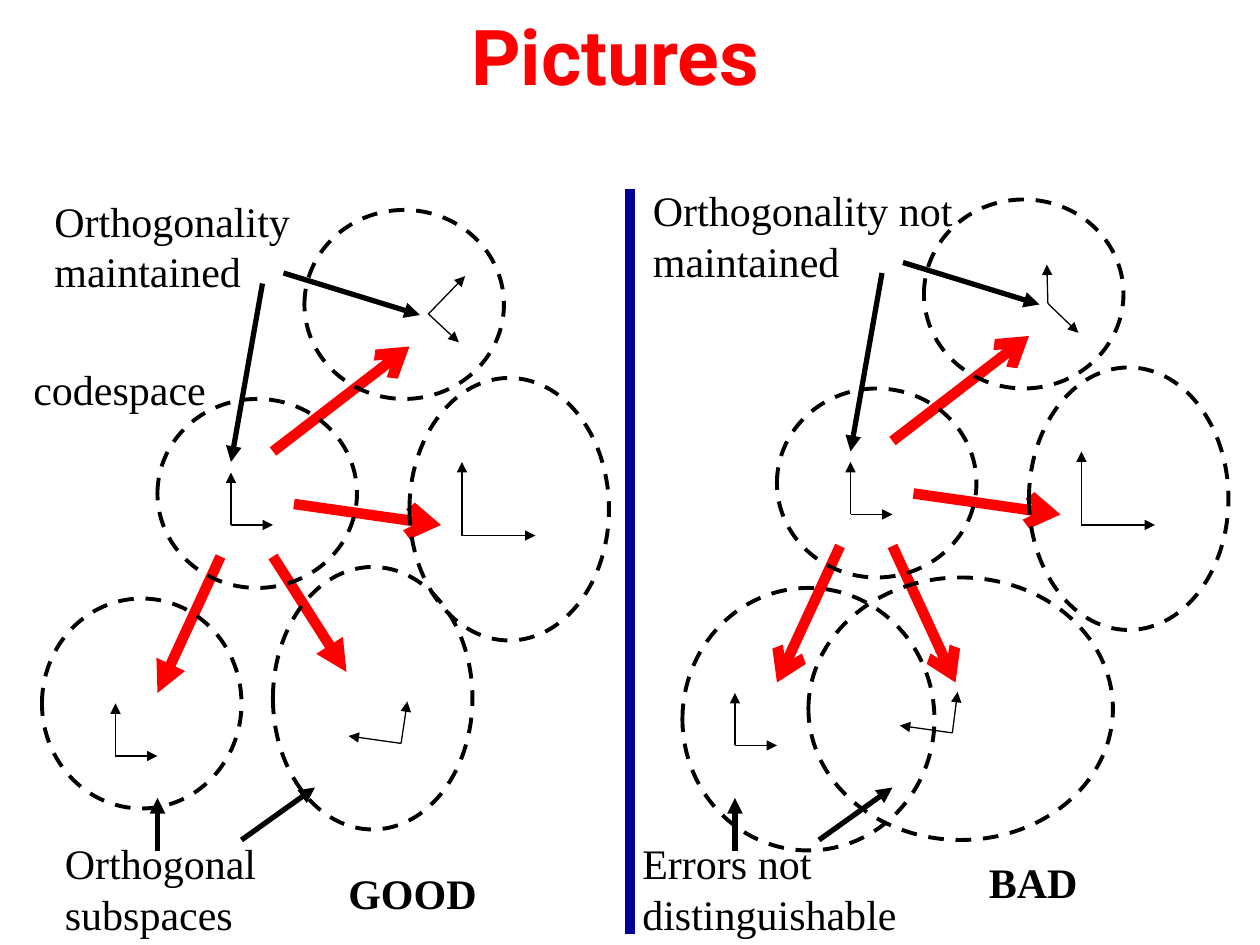
"""Build a slide contrasting good and bad error subspaces of a quantum code."""
from dataclasses import dataclass

from lxml.etree import SubElement
from pptx import Presentation
from pptx.dml.color import RGBColor
from pptx.enum.dml import MSO_LINE_DASH_STYLE as Dash
from pptx.enum.shapes import MSO_CONNECTOR, MSO_SHAPE
from pptx.enum.text import MSO_ANCHOR, PP_ALIGN
from pptx.oxml.ns import qn
from pptx.util import Inches, Pt


@dataclass(frozen=True)
class Theme:
    black: RGBColor = RGBColor(0, 0, 0)
    red: RGBColor = RGBColor(255, 0, 0)
    blue: RGBColor = RGBColor(0, 0, 153)
    title_font: str = "Roboto"
    body_font: str = "Times New Roman"
    title_size: int = 44
    body_size: int = 24
    thin: float = 0.75
    dashed: float = 2.25
    pointer: int = 3
    thick: int = 6


THEME = Theme()
COLUMNS, ROWS = 120, 90
WIDTH, HEIGHT = Inches(10), Inches(7.5)
TITLE = ("Pictures", (43.68, 0.24, 33, 10.08))
DIVIDER = ((60, 18), (60, 89))

SHARED = {
    "axes": [
        ((22, 50), (22, 45), (26, 50)),
        ((44, 51), (44, 44), (51, 51)),
        ((11, 72), (11, 67), (15, 72)),
    ],
    "errors": [((28, 48), (42, 50), "arrow"), ((26, 43), (39, 33), "arrow")],
    "subspaces": [(39, 36, 19, 25), (29, 20, 19, 18), (15, 38, 19, 18)],
    "pointers": [((27, 26), (40, 30)), ((25, 27), (22, 44))],
}
FOOT_POINTERS = [((23, 80), (30, 75)), ((15, 81), (15, 76))]

PANELS = [
    {
        "shift": (0, 0),
        "foot_shift": (0, 0),
        "axes": [
            ((38.2, 70.8), (33.2, 70.1), (38.8, 66.8)),
            ((40.8, 29.9), (44.3, 26.3), (43.7, 32.6)),
        ],
        "errors": [((21, 53), (15, 66), "triangle"), ((26, 53), (33, 64), "triangle")],
        "subspaces": [(4, 57, 19, 20), (26, 54, 19, 25)],
        "labels": [
            ("Orthogonality maintained", (4, 18, 25, 10.8), False),
            ("Orthogonal subspaces", (5, 79.2, 25, 10.8), False),
            ("codespace", (2, 34, 19, 6), False),
            ("GOOD", (32, 82, 18, 6), True),
        ],
    },
    {
        "shift": (59, -1),
        "foot_shift": (55, 0),
        "axes": [
            ((90.7, 69.8), (85.7, 69.1), (91.2, 65.9)),
            ((99.8, 28.9), (99.7, 25.2), (102.7, 31.7)),
        ],
        "errors": [((80, 52), (74, 65), "arrow"), ((85, 52), (91, 65), "arrow")],
        "subspaces": [(65, 56, 24, 25), (77, 55, 29, 25)],
        "labels": [
            ("Orthogonality not maintained", (61, 17, 31, 10.8), False),
            ("Errors not distinguishable", (60, 79.2, 30, 10.8), False),
            ("BAD", (93, 81, 15, 6), True),
        ],
    },
]


def across(columns):
    return round(WIDTH * columns / COLUMNS)


def down(rows):
    return round(HEIGHT * rows / ROWS)


def place(box):
    left, top, width, height = box
    return across(left), down(top), across(width), down(height)


def moved(point, shift):
    return point[0] + shift[0], point[1] + shift[1]


def add_line(slide, start, end, color, width, head=None):
    connector = slide.shapes.add_connector(
        MSO_CONNECTOR.STRAIGHT,
        across(start[0]), down(start[1]), across(end[0]), down(end[1]),
    )
    connector.line.color.rgb = color
    connector.line.width = Pt(width)
    if head:
        SubElement(connector.line._get_or_add_ln(), qn("a:tailEnd"), type=head)
    SubElement(connector._element.spPr, qn("a:effectLst"))


def add_subspace(slide, box):
    ellipse = slide.shapes.add_shape(MSO_SHAPE.OVAL, *place(box))
    ellipse.shadow.inherit = False
    ellipse.fill.background()
    ellipse.line.color.rgb = THEME.black
    ellipse.line.width = Pt(THEME.dashed)
    ellipse.line.dash_style = Dash.DASH


def write(shape, text, font_name, size, color, bold):
    frame = shape.text_frame
    frame.text = text
    frame.word_wrap = True
    frame.vertical_anchor = MSO_ANCHOR.TOP
    paragraph = frame.paragraphs[0]
    paragraph.alignment = PP_ALIGN.LEFT
    font = paragraph.font
    font.name, font.size, font.bold = font_name, Pt(size), bold
    font.color.rgb = color


def add_title(slide):
    text, box = TITLE
    title = slide.shapes.title
    title.left, title.top, title.width, title.height = place(box)
    write(title, text, THEME.title_font, THEME.title_size, THEME.red, True)
    title.text_frame.paragraphs[0].line_spacing = 1.0


def add_panel(slide, panel):
    shift = panel["shift"]
    axes = [[moved(point, shift) for point in frame] for frame in SHARED["axes"]]
    errors = [(moved(a, shift), moved(b, shift), head) for a, b, head in SHARED["errors"]]
    subspaces = [(*moved(box[:2], shift), *box[2:]) for box in SHARED["subspaces"]]
    pointers = [[moved(point, shift) for point in ends] for ends in SHARED["pointers"]]
    pointers += [[moved(point, panel["foot_shift"]) for point in ends] for ends in FOOT_POINTERS]

    for origin, *tips in axes + panel["axes"]:
        for tip in tips:
            add_line(slide, origin, tip, THEME.black, THEME.thin, "triangle")
    for start, end, head in errors + panel["errors"]:
        add_line(slide, start, end, THEME.red, THEME.thick, head)
    for box in panel["subspaces"] + subspaces:
        add_subspace(slide, box)
    for text, box, bold in panel["labels"]:
        label = slide.shapes.add_textbox(*place(box))
        write(label, text, THEME.body_font, THEME.body_size, THEME.black, bold)
    for start, end in pointers:
        add_line(slide, start, end, THEME.black, THEME.pointer, "triangle")


def main():
    presentation = Presentation()
    presentation.slide_width, presentation.slide_height = WIDTH, HEIGHT
    slide = presentation.slides.add_slide(presentation.slide_layouts[5])
    add_title(slide)
    for panel in PANELS:
        add_panel(slide, panel)
    add_line(slide, *DIVIDER, THEME.blue, THEME.thick)
    presentation.save("out.pptx")


if __name__ == "__main__":
    main()
